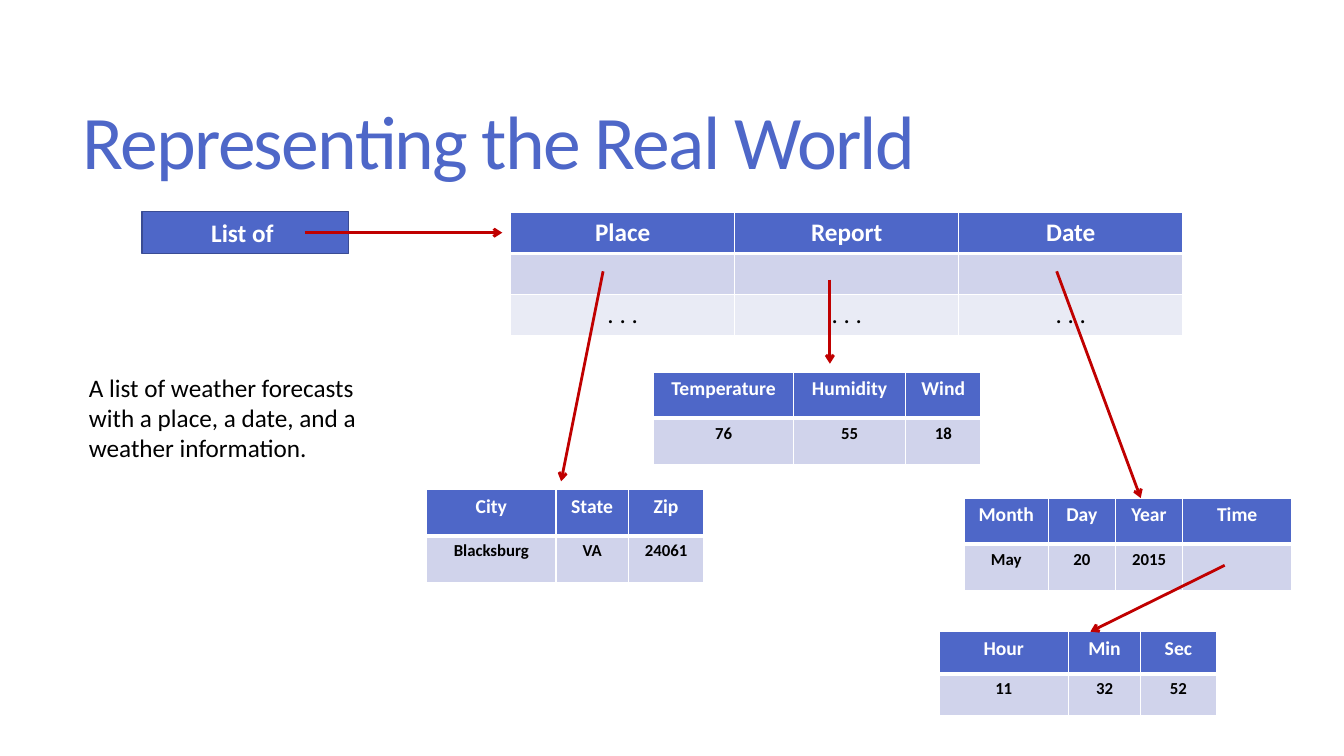
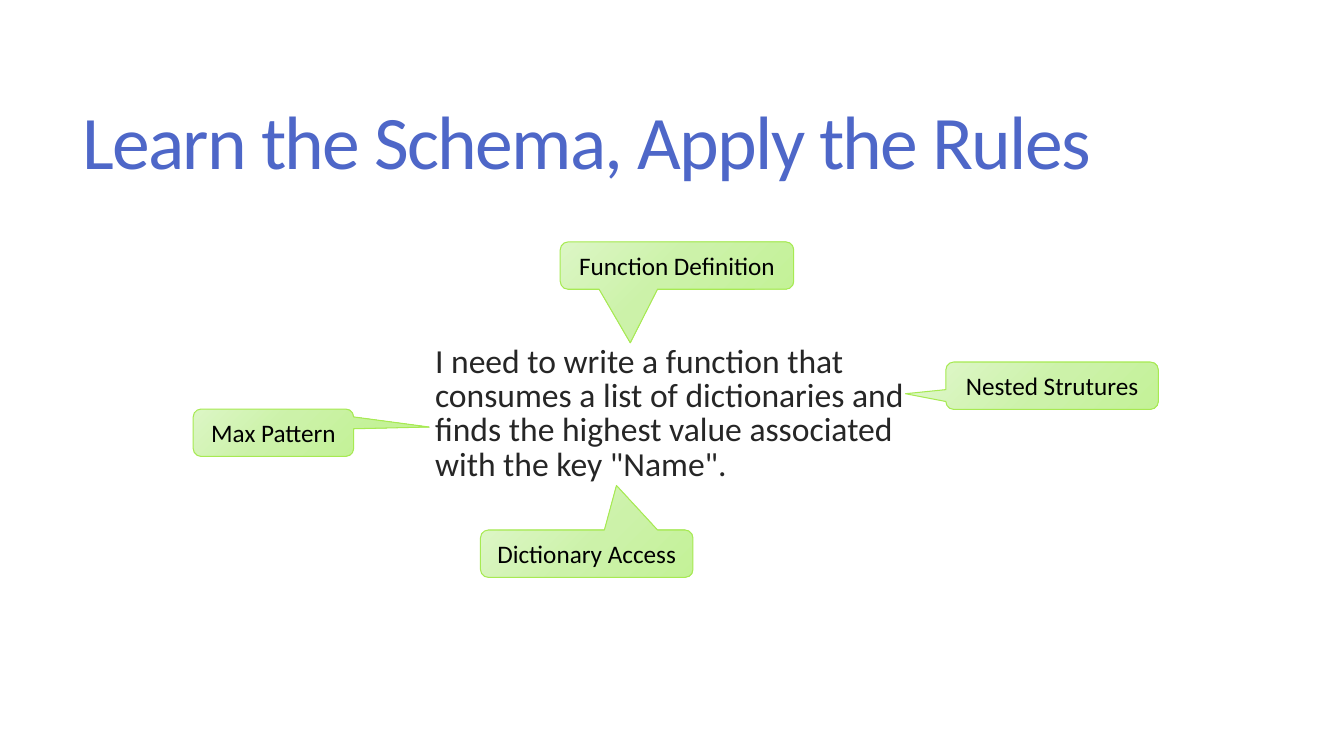
from copy import deepcopy

from lxml import etree
from pptx import Presentation
from pptx import util as u
from pptx.dml.color import RGBColor
from pptx.enum import shapes, text
from pptx.oxml.ns import qn

BLUE, RED, WHITE, BLACK = "4E67C8", "C00000", "FFFFFF", "000000"
BAND, PALE_BAND = "D0D3EB", "E9EBF5"
COLUMNS, ROWS = 160, 90
GRID = u.Inches(1) // 12
LEFT, CENTER = text.PP_ALIGN.LEFT, text.PP_ALIGN.CENTER
MIDDLE = text.MSO_ANCHOR.MIDDLE


def paint(fill, color):
    fill.solid()
    fill.fore_color.rgb = RGBColor.from_string(color)


def write(frame, words, size=18, color=BLACK, bold=False, align=LEFT,
          anchor=None, spacing=None, tracking=None):
    frame.word_wrap = True
    if anchor is not None:
        frame.vertical_anchor = anchor
    paragraph = frame.paragraphs[0]
    paragraph.alignment = align
    if spacing:
        paragraph.line_spacing = spacing
    run = paragraph.add_run()
    run.text = words
    run.font.name = "Calibri"
    run.font.size = u.Pt(size)
    run.font.bold = bold
    paint(run.font.fill, color)
    if tracking:
        run.font._element.set("spc", str(int(tracking * 100)))


deck = Presentation()
deck.slide_width, deck.slide_height = COLUMNS * GRID, ROWS * GRID

slides = []
for heading in ("Representing the Real World", "Learn the Schema, Apply the Rules"):
    slide = deck.slides.add_slide(deck.slide_layouts[5])
    title = slide.shapes.title
    title.left, title.top, title.width, title.height = [
        int(n * GRID) for n in (8.6, 6.6, 141.4, 21.7)]
    title.text_frame.auto_size = text.MSO_AUTO_SIZE.NONE
    write(title.text_frame, heading, size=54, color=BLUE, anchor=MIDDLE,
          spacing=0.85, tracking=-1.2)
    slides.append(slide)
weather, schema = slides

records = [
    (60.8, 25.3, 4.87, [26.67] * 3, 18, 18, False,
     [["Place", "Report", "Date"], [""] * 3, [". . ."] * 3]),
    (50.8, 58.3, 5.5, [15.4, 8.6, 9], 14, 12, True,
     [["City", "State", "Zip"], ["Blacksburg", "VA", "24061"]]),
    (77.8, 44.3, 5.5, [16.7, 13.3, 9], 14, 12, True,
     [["Temperature", "Humidity", "Wind"], ["76", "55", "18"]]),
    (114.8, 59.3, 5.5, [10, 8, 8, 13], 14, 12, True,
     [["Month", "Day", "Year", "Time"], ["May", "20", "2015", ""]]),
    (111.8, 75.2, 5, [15.4, 8.6, 9], 14, 12, True,
     [["Hour", "Min", "Sec"], ["11", "32", "52"]]),
]
for left, top, row_height, widths, head_size, data_size, data_bold, rows in records:
    box = (left, top, sum(widths), row_height * len(rows))
    record = weather.shapes.add_table(
        len(rows), len(widths), *[int(n * GRID) for n in box]).table
    for column, width in zip(record.columns, widths):
        column.width = int(width * GRID)
    for r, fields in enumerate(rows):
        record.rows[r].height = int(row_height * GRID)
        for c, field in enumerate(fields):
            cell = record.cell(r, c)
            borders = cell._tc.get_or_add_tcPr()
            for side in ("lnL", "lnR", "lnT", "lnB"):
                thick = (r, side) in ((0, "lnB"), (1, "lnT"))
                edge = etree.SubElement(borders, qn(f"a:{side}"),
                                        w=str(u.Pt(3 if thick else 1)))
                ink = etree.SubElement(edge, qn("a:solidFill"))
                etree.SubElement(ink, qn("a:srgbClr"), val=WHITE)
            paint(cell.fill, (BLUE, BAND, PALE_BAND)[r])
            if field:
                write(cell.text_frame, field, align=CENTER,
                      size=data_size if r else head_size,
                      color=BLACK if r else WHITE,
                      bold=data_bold if r else True)

list_of = weather.shapes.add_shape(
    shapes.MSO_SHAPE.RECTANGLE, *[int(n * GRID) for n in (16.9, 25.2, 24.6, 5)])
list_of.shadow.inherit = False
paint(list_of.fill, BLUE)
paint(list_of.line.fill, "3A4C94")
list_of.line.width = u.Pt(1)
write(list_of.text_frame, "List of ", color=WHITE, bold=True, align=CENTER, anchor=MIDDLE)

references = [
    (71.8, 32.3, 66.8, 57.3),
    (98.8, 33.3, 98.8, 43.3),
    (125.8, 32.3, 135.8, 59.3),
    (145.8, 67.3, 129.8, 75.2),
    (36.3, 27.7, 59.8, 27.7),
]
for ends in references:
    reference = weather.shapes.add_connector(
        shapes.MSO_CONNECTOR.STRAIGHT, *[int(n * GRID) for n in ends])
    paint(reference.line.fill, RED)
    reference.line.width = u.Pt(2)
    etree.SubElement(reference.line._get_or_add_ln(), qn("a:tailEnd"), type="arrow")
    etree.SubElement(reference._element.spPr, qn("a:effectLst"))

summary = weather.shapes.add_textbox(*[int(n * GRID) for n in (9.4, 43.7, 35.4, 12.1)])
write(summary.text_frame,
      "A list of weather forecasts with a place, a date, and a weather information.")

task = schema.shapes.add_textbox(*[int(n * GRID) for n in (49.4, 40.6, 59.9, 20.2)])
task.text_frame.margin_left = u.Inches(0.2)
write(task.text_frame,
      "I need to write a function that consumes a list of dictionaries and finds "
      'the highest value associated with the key "Name".',
      size=24, color="262626", spacing=0.85)

rules = [
    ("Max Pattern", 23, 48.7, 19.1, 0.97, -0.12),
    ("Dictionary Access", 57.2, 63.1, 25.3, 0.14, -1.44),
    ("Nested Strutures", 112.6, 43.1, 25.3, -0.69, 0.17),
    ("Function Definition", 66.7, 28.8, 27.8, -0.2, 1.63),
]
for rule, left, top, width, tip_x, tip_y in rules:
    callout = schema.shapes.add_shape(
        shapes.MSO_SHAPE.ROUNDED_RECTANGULAR_CALLOUT,
        *[int(n * GRID) for n in (left, top, width, 5.64)])
    callout.shadow.inherit = False
    callout.adjustments[0], callout.adjustments[1] = tip_x, tip_y
    callout.fill.gradient()
    callout.fill.gradient_angle = 315
    stop_list = callout._element.spPr.find(".//" + qn("a:gsLst"))
    stop_list.insert(1, deepcopy(stop_list[0]))
    for stop, position, shade in zip(callout.fill.gradient_stops, (0, 0.5, 1),
                                     ("DCF6C5", "CCF2A9", "C4F298")):
        stop.position = position
        stop.color.rgb = RGBColor.from_string(shade)
    paint(callout.line.fill, "A7EA52")
    callout.line.width = u.Pt(0.75)
    write(callout.text_frame, rule, align=CENTER, anchor=MIDDLE)

deck.save("out.pptx")
